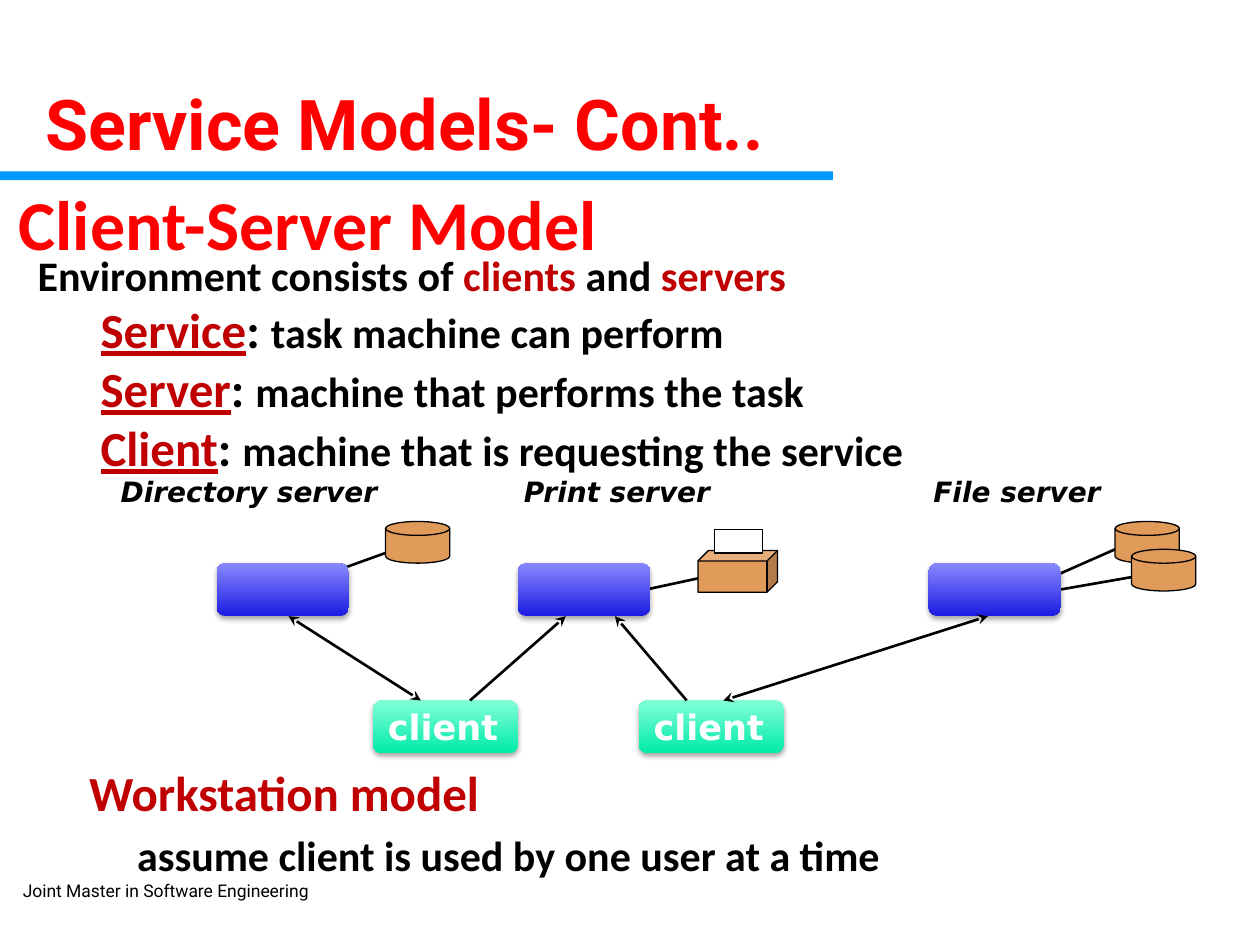
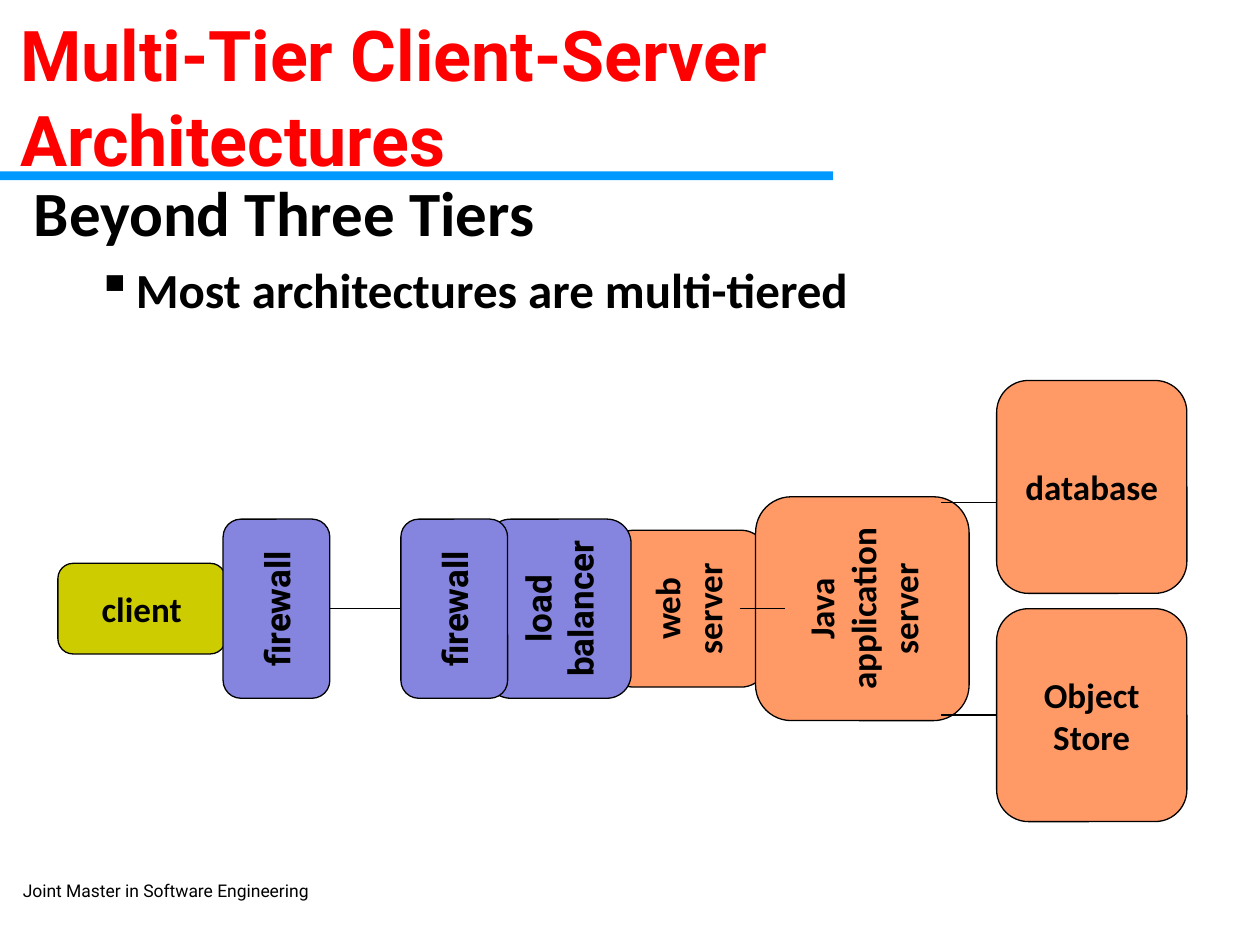
from lxml.etree import SubElement
from pptx import Presentation
from pptx.dml.color import RGBColor
from pptx.enum.shapes import MSO_CONNECTOR, MSO_SHAPE
from pptx.enum.text import MSO_ANCHOR, PP_ALIGN
from pptx.oxml.ns import qn
from pptx.util import Pt

BLACK = RGBColor(0, 0, 0)
WHITE = RGBColor(255, 255, 255)
RED = RGBColor(255, 0, 0)
DARK_RED = RGBColor(0xC0, 0, 0)
BAND_BLUE = RGBColor(0, 0x99, 0xFF)
TAN = RGBColor(0xE0, 0x9A, 0x5A)
OLIVE = RGBColor(0xCC, 0xCC, 0)
VIOLET = RGBColor(0x85, 0x85, 0xE0)
ORANGE = RGBColor(0xFF, 0x99, 0x66)
MINT = [RGBColor(0, 0xEA, 0xA8), RGBColor(0x81, 0xFF, 0xD9)]
BLUE = [RGBColor(0x1C, 0x1C, 0xE2), RGBColor(0x88, 0x88, 0xFF)]

HEAD, BODY, LABEL = "Roboto", "Calibri", "DejaVu Sans"
INSETS = (7.2, 3.6, 7.2, 3.6)
NO_INSETS = (0, 0, 0, 0)
TOP_LEVEL = (27.4, -27.4)
SUB_LEVEL = (58.3, -22.3)

FOOTER = "Joint Master in Software Engineering"
FOOTER_FMT = dict(name=HEAD, size=10, color=BLACK)
TITLE_FMT = dict(name=HEAD, size=40, color=RED, bold=True)
SUBTITLE_FMT = dict(name=BODY, size=40, color=RED, bold=True)
TEXT = dict(name=BODY, size=24, color=BLACK, bold=True)
TEXT_RED = {**TEXT, "color": DARK_RED}
BIG = {**TEXT, "size": 28}
BIG_RED = {**BIG, "color": DARK_RED}
TERM = {**BIG_RED, "underline": True}
LABEL_FMT = dict(name=LABEL, size=16, color=BLACK, bold=True, italic=True)
CLIENT_FMT = dict(name=LABEL, size=20, color=WHITE, bold=True)
NODE_FMT = {**TEXT, "size": 20}

# Client-server slide
DEFINITIONS = [
    ("Service", "task machine can perform"),
    ("Server", "machine that performs the task"),
    ("Client", "machine that is requesting the service"),
]
MODEL_TEXT = [
    dict(indent=TOP_LEVEL, runs=[
        ("Environment consists of ", TEXT), ("clients ", TEXT_RED),
        ("and ", TEXT), ("servers", TEXT_RED)]),
    *[dict(indent=SUB_LEVEL, runs=[(term, TERM), (": ", BIG), (meaning, TEXT)])
      for term, meaning in DEFINITIONS],
]
WORKSTATION_TEXT = [
    dict(indent=TOP_LEVEL, runs=[("Workstation model", BIG_RED)]),
    dict(indent=TOP_LEVEL, before=4.8,
         runs=[("\tassume client is used by one user at a time", TEXT)]),
]
SERVER_Y, CLIENT_Y, BOX_H = 321.9, 400.3, 30.2
SERVER_BOTTOM = SERVER_Y + BOX_H
SERVER_W, CLIENT_W = 75.6, 82.8
# label, label left, label width, server left
SERVERS = [
    ("Directory server", 61.9, 207.4, 123.8),
    ("Print server", 292.3, 155.5, 295.9),
    ("File server", 526.3, 140.4, 530.6),
]
CLIENT_LEFTS = [213.1, 365]
DISK, CUBE = MSO_SHAPE.FLOWCHART_MAGNETIC_DISK, MSO_SHAPE.CUBE
DEVICES = [
    (DISK, (220.3, 298, 36.7, 23.8), TAN),
    (DISK, (637.2, 298, 36.7, 23.8), TAN),
    (DISK, (646.6, 313.9, 36.7, 23.8), TAN),
    (CUBE, (398.9, 314.6, 45.4, 23.8), TAN),
    (MSO_SHAPE.RECTANGLE, (408.2, 302.4, 27.4, 13.7), WHITE),
]
CABLES = [
    ((180, 330.5), (220.3, 316)),
    ((601.2, 329.8), (637.2, 313.9)),
    ((601.2, 337.7), (646.6, 329.8)),
    ((362.2, 338.4), (398.9, 330.5)),
]
# client x, server x, arrowheads
REQUESTS = [
    (268.6, 323.3, ("tailEnd",)),
    (392.4, 351.4, ("tailEnd",)),
    (413.3, 564.5, ("headEnd", "tailEnd")),
    (240.5, 164.9, ("headEnd", "tailEnd")),
]

# Multi-tier slide
TIERS_TEXT = [
    dict(indent=TOP_LEVEL, runs=[("Beyond Three Tiers", {**TEXT, "size": 36})]),
    dict(indent=SUB_LEVEL, before=5.6, bullet="▪",
         runs=[("Most architectures are multi-tiered", BIG)]),
]
AXIS_Y = 347.8
CLIENT_NODE = ("client", (33.1, AXIS_Y - 25.9, 95.8, 51.8), OLIVE)
# text, centre x, width, height, fill, font
TIERS = [
    ("web\nserver", 392.8, 91.4, 89.6, ORANGE, BODY),
    ("Java\napplication\nserver", 492.8, 122, 127.9, ORANGE, BODY),
    ("load\nbalancer", 319.3, 82.7, 102.4, VIOLET, HEAD),
    ("firewall", 259.6, 61, 102.4, VIOLET, HEAD),
    ("firewall", 158, 61, 102.4, VIOLET, HEAD),
]
STORE_X, STORE_W, STORE_H = 569.5, 108.7, 121.7
STORES = [("database", 217.4), ("Object\nStore", AXIS_Y)]
STORE_LINK_X, DATABASE_LINK_Y = 537.8, 287.3


def pts(values):
    return [Pt(v) for v in values]


def add_run(p, text, fmt):
    r = p.add_run()
    r.text = text
    for key, value in fmt.items():
        if key == "color":
            r.font.color.rgb = value
        else:
            setattr(r.font, key, Pt(value) if key == "size" else value)


def fill_frame(tf, paragraphs, insets=INSETS, anchor=MSO_ANCHOR.TOP, wrap=True):
    tf.word_wrap, tf.vertical_anchor = wrap, anchor
    for side, inset in zip(("left", "top", "right", "bottom"), insets):
        setattr(tf, f"margin_{side}", Pt(inset))
    for i, para in enumerate(paragraphs):
        p = tf.add_paragraph() if i else tf.paragraphs[0]
        p.alignment = para.get("align", PP_ALIGN.LEFT)
        if "spacing" in para:
            p.line_spacing = para["spacing"]
        if "before" in para:
            p.space_before = Pt(para["before"])
        pPr = p._p.get_or_add_pPr()
        for name, value in zip(("marL", "indent"), para.get("indent", ())):
            pPr.set(name, str(Pt(value)))
        if "bullet" in para:
            SubElement(pPr, qn("a:buChar"), char=para["bullet"])
        for text, fmt in para["runs"]:
            add_run(p, text, fmt)


def add_text(s, box, paragraphs, **options):
    fill_frame(s.shapes.add_textbox(*pts(box)).text_frame, paragraphs, **options)


def add_box(s, kind, box, fill, line=True):
    """Preset shape; fill is one colour, or a list of two for a gradient."""
    sp = s.shapes.add_shape(kind, *pts(box))
    sp.shadow.inherit = False
    if kind == MSO_SHAPE.ROUNDED_RECTANGLE:
        sp.adjustments[0] = 0.167
    if isinstance(fill, list):
        sp.fill.gradient()
        sp.fill.gradient_angle = 90
        for stop, color in zip(sp.fill.gradient_stops, fill):
            stop.color.rgb = color
    else:
        sp.fill.solid()
        sp.fill.fore_color.rgb = fill
    if line:
        sp.line.color.rgb = BLACK
        sp.line.width = Pt(0.75)
    else:
        sp.line.fill.background()
    return sp


def add_glossy_box(s, box, colors):
    """Rounded box with a gradient and a soft shadow below it."""
    sp = add_box(s, MSO_SHAPE.ROUNDED_RECTANGLE, box, colors, line=False)
    effects = sp._element.spPr.find(qn("a:effectLst"))
    shadow = SubElement(effects, qn("a:outerShdw"), blurRad=str(Pt(3.1)),
                        dist=str(Pt(1.8)), dir="5400000", rotWithShape="0")
    color = SubElement(shadow, qn("a:srgbClr"), val="000000")
    SubElement(color, qn("a:alpha"), val="35000")
    return sp


def add_node(s, text, box, fill, font=BODY, rotation=0):
    sp = add_box(s, MSO_SHAPE.ROUNDED_RECTANGLE, box, fill)
    sp.rotation = rotation
    fmt = {**NODE_FMT, "name": font}
    lines = [dict(align=PP_ALIGN.CENTER, runs=[(line, fmt)])
             for line in text.split("\n")]
    fill_frame(sp.text_frame, lines, anchor=MSO_ANCHOR.MIDDLE, wrap=False)
    return sp


def add_link(s, start, end, width=0.75, heads=()):
    link = s.shapes.add_connector(MSO_CONNECTOR.STRAIGHT, *pts((*start, *end)))
    link.line.color.rgb = BLACK
    link.line.width = Pt(width)
    for head in heads:
        SubElement(link.line._get_or_add_ln(), qn(f"a:{head}"), type="stealth")
    SubElement(link._element.spPr, qn("a:effectLst"))
    return link


def new_slide(prs, title, title_box):
    s = prs.slides.add_slide(prs.slide_layouts[6])
    add_box(s, MSO_SHAPE.RECTANGLE, (0, 98, 476, 5), BAND_BLUE, line=False)
    add_text(s, (13, 502.5, 228, 37), [dict(spacing=1.01, runs=[(FOOTER, FOOTER_FMT)])],
             insets=NO_INSETS)
    add_text(s, title_box, [dict(spacing=1.01, runs=[(title, TITLE_FMT)])],
             insets=NO_INSETS, anchor=MSO_ANCHOR.MIDDLE)
    return s


def build_client_server(prs):
    s = new_slide(prs, "Service Models- Cont..", (26, 36.7, 648, 66.2))
    add_text(s, (3.6, 103, 696, 48.2),
             [dict(runs=[("Client-Server Model", SUBTITLE_FMT)])],
             anchor=MSO_ANCHOR.MIDDLE)
    add_text(s, (14.4, 139, 703.4, 135.4), MODEL_TEXT)
    for start, end in CABLES:
        add_link(s, start, end, 1.5)
    for kind, box, fill in DEVICES:
        add_box(s, kind, box, fill)
    for label, label_x, label_w, server_x in SERVERS:
        add_text(s, (label_x, 267.8, label_w, 28.8), [dict(runs=[(label, LABEL_FMT)])])
        add_glossy_box(s, (server_x, SERVER_Y, SERVER_W, BOX_H), BLUE)
    for x in CLIENT_LEFTS:
        sp = add_glossy_box(s, (x, CLIENT_Y, CLIENT_W, BOX_H), MINT)
        fill_frame(sp.text_frame, [dict(runs=[("client", CLIENT_FMT)])],
                   anchor=MSO_ANCHOR.MIDDLE)
    for client_x, server_x, heads in REQUESTS:
        add_link(s, (client_x, CLIENT_Y), (server_x, SERVER_BOTTOM), 1.5, heads)
    add_text(s, (43.9, 432, 612, 77.8), WORKSTATION_TEXT)


def build_multi_tier(prs):
    s = new_slide(prs, "Multi-Tier Client-Server Architectures", (11.5, 20.2, 672, 68.4))
    add_text(s, (12.2, 95.8, 654.5, 167.8), TIERS_TEXT)
    client = add_node(s, *CLIENT_NODE)
    add_link(s, (128.9, AXIS_Y), (359.3, AXIS_Y)).begin_connect(client, 3)
    for text, x, w, h, fill, font in TIERS:
        # Turned a quarter, so the frame's width is the height on the slide
        add_node(s, text, (x - h / 2, AXIS_Y - w / 2, h, w), fill, font, 270)
    add_link(s, (422.6, AXIS_Y), (448.6, AXIS_Y))
    _, store = [add_node(s, text, (STORE_X, y, STORE_W, STORE_H), ORANGE)
                for text, y in STORES]
    add_link(s, (STORE_X, DATABASE_LINK_Y), (STORE_LINK_X, DATABASE_LINK_Y))
    store_mid = AXIS_Y + STORE_H / 2
    add_link(s, (STORE_X, store_mid), (STORE_LINK_X, store_mid)).begin_connect(store, 1)


def main():
    prs = Presentation()
    prs.slide_width, prs.slide_height = Pt(720), Pt(540)
    build_client_server(prs)
    build_multi_tier(prs)
    prs.save("out.pptx")


if __name__ == "__main__":
    main()
